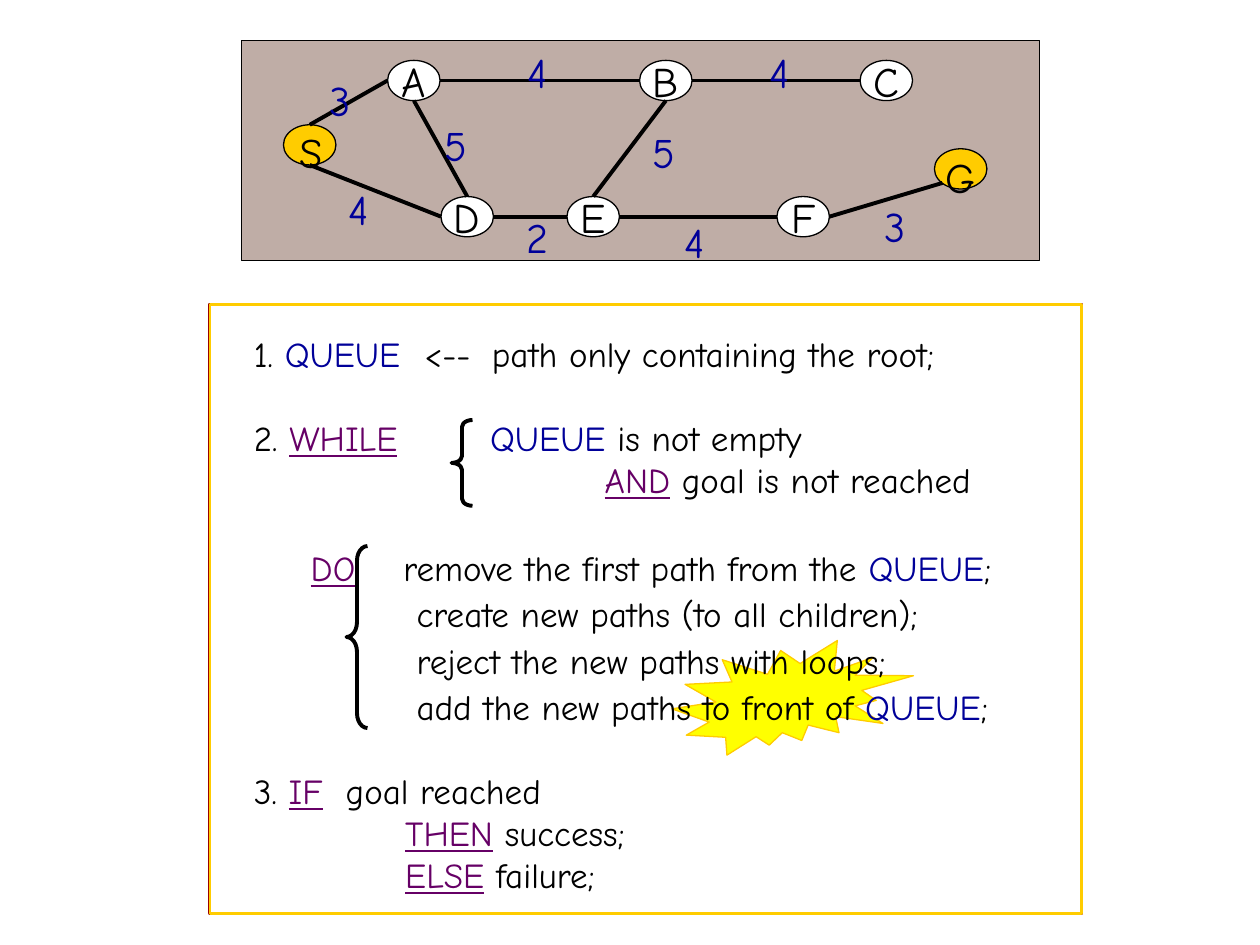
from lxml import etree
from pptx import Presentation
from pptx.dml.color import RGBColor
from pptx.enum import shapes, text
from pptx.oxml import ns
from pptx.util import Pt

BLACK = RGBColor(0x00, 0x00, 0x00)
WHITE = RGBColor(0xFF, 0xFF, 0xFF)
TAUPE = RGBColor(0xBF, 0xAD, 0xA6)
GOLD = RGBColor(0xFF, 0xCC, 0x00)
YELLOW = RGBColor(0xFF, 0xFF, 0x00)
RED = RGBColor(0x99, 0x00, 0x00)
BLUE = RGBColor(0x00, 0x00, 0x99)
PURPLE = RGBColor(0x66, 0x00, 0x66)
FONT = "Comic Neue"
PRESET = shapes.MSO_SHAPE

NODE_W, NODE_H = 30, 23
UPPER, LOWER = 11.5, 89.3
NODES = {
    "A": (83.5, UPPER), "D": (114, LOWER), "B": (227.5, UPPER),
    "E": (186, LOWER), "C": (353.5, UPPER), "F": (306, LOWER),
    "G": (396, 62), "S": (24, 48.3),
}
END_LABELS = [("G", 411, 59.8, 32), ("S", 39.6, 46, 27)]
SIDES = {"top": (0.5, 0), "left": (0, 0.5), "bottom": (0.5, 1),
         "right": (1, 0.5), "lower left": (0.15, 0.85)}
EDGES = [
    ("S", "top", "A", "left"), ("S", "bottom", "D", "left"),
    ("A", "right", "B", "left"), ("D", "right", "E", "left"),
    ("B", "right", "C", "left"), ("E", "right", "F", "left"),
    ("F", "right", "G", "lower left"), ("A", "bottom", "D", "top"),
    ("E", "top", "B", "bottom"),
]
WEIGHTS = [
    ("3", 56.5, 15.8), ("4", 67, 78.5), ("4", 169, 0), ("4", 259, 97.2),
    ("5", 122.4, 41.8), ("5", 241, 46), ("4", 307.5, 0),
    ("3", 373.4, 87.8), ("2", 169, 94.3),
]

KEYWORDS = {"QUEUE": BLUE, **dict.fromkeys(
    ("WHILE", "AND", "DO", "IF", "THEN", "ELSE"), PURPLE)}
STEPS = [
    (("1. ", "QUEUE", "\t<--\tpath only containing the root;"), (97.5, 136), 0, 1),
    (("2. ", "WHILE", "\t", "QUEUE", " is not empty"), (135,), 24, 1),
    (("\t", "AND", " goal is not reached"), (200.5,), 0, 1),
    (("\t", "DO", "\tremove the first path from the ", "QUEUE", ";"),
     (32.5, 85.5), 24, 1.1),
    (("\tcreate new paths (to all children);",), (93,), 0, 1.1),
    (("\treject the new paths with loops;",), (93,), 0, 1.1),
    (("\tadd the new paths to front of ", "QUEUE", ";"), (93,), 0, 1.1),
    (("3. ", "IF", "\tgoal reached"), (52.5,), 24, 1),
    (("\t", "THEN", " success;"), (86.5,), 0, 1),
    (("\t", "ELSE", " failure;"), (86.5,), 0, 1),
]


def add_preset(parent, preset, box, fill, line, width):
    """Add a preset shape with the given fill and outline."""
    shape = parent.add_shape(preset, *map(Pt, box))
    shape.shadow.inherit = False
    if fill is None:
        shape.fill.background()
    else:
        shape.fill.solid()
        shape.fill.fore_color.rgb = fill
    shape.line.color.rgb = line
    shape.line.width = Pt(width)
    return shape


def style_run(run, size, color):
    """Set the font, size and colour of a run."""
    run.font.name = FONT
    run.font.size = Pt(size)
    run.font.color.rgb = color


def set_letter(shape, letter, color):
    """Write one centred character that does not wrap."""
    frame = shape.text_frame
    frame.word_wrap = False
    frame.text = letter
    paragraph = frame.paragraphs[0]
    paragraph.alignment = text.PP_ALIGN.CENTER
    style_run(paragraph.runs[0], 24, color)


def add_label(parent, letter, center, top, width, color):
    """Add a character in a text box centred on a point."""
    label = parent.add_textbox(Pt(center - width / 2), Pt(top), Pt(width), Pt(36))
    set_letter(label, letter, color)


def add_edge(parent, start, end):
    """Add a black line between two points."""
    edge = parent.add_connector(
        shapes.MSO_CONNECTOR.STRAIGHT, *map(Pt, (*start, *end)))
    edge.line.color.rgb = BLACK
    edge.line.width = Pt(2.25)
    etree.SubElement(edge._element.spPr, ns.qn("a:effectLst"))


def draw_graph(slide, left, top, width, height):
    """Draw the weighted search graph on its panel."""
    parts = slide.shapes.add_group_shape().shapes
    add_preset(parts, PRESET.RECTANGLE, (left, top, width, height), TAUPE, BLACK, 0.75)

    def anchor(name, side):
        """Return the point on a side of a node."""
        x, y = NODES[name]
        across, down = SIDES[side]
        return left + x + across * NODE_W, top + y + down * NODE_H

    for name, (x, y) in NODES.items():
        is_end = name in "SG"
        node = add_preset(parts, PRESET.OVAL, (left + x, top + y, NODE_W, NODE_H),
                          GOLD if is_end else WHITE, BLACK, 0.75)
        if not is_end:
            set_letter(node, name, BLACK)
    for name, x, y, label_width in END_LABELS:
        add_label(parts, name, left + x, top + y, label_width, BLACK)
    for origin, origin_side, target, target_side in EDGES:
        add_edge(parts, anchor(origin, origin_side), anchor(target, target_side))
    for weight, x, y in WEIGHTS:
        add_label(parts, weight, left + x, top + y, 27, BLUE)


def write_step(paragraph, pieces, stops, before, spacing):
    """Write one line of the algorithm with its tab stops and keywords."""
    tabs = etree.SubElement(paragraph._p.get_or_add_pPr(), ns.qn("a:tabLst"))
    for stop in stops:
        etree.SubElement(tabs, ns.qn("a:tab"), pos=str(Pt(stop)), algn="l")
    paragraph.line_spacing = float(spacing)
    paragraph.space_before = Pt(before)
    for piece in pieces:
        run = paragraph.add_run()
        run.text = piece
        color = KEYWORDS.get(piece, BLACK)
        style_run(run, 20, color)
        if color == PURPLE:
            run.font.underline = True


def draw_algorithm(slide, left, top, width, height):
    """Draw the framed search algorithm with its braces and highlight."""
    parts = slide.shapes
    for color, line_width in ((RED, 2.25), (GOLD, 1.5)):
        add_preset(parts, PRESET.RECTANGLE, (left, top, width, height),
                   WHITE, color, line_width)
    add_preset(parts, PRESET.EXPLOSION2, (left + 264, top + 192, 138, 65.5),
               YELLOW, GOLD, 0.75)
    steps = parts.add_textbox(Pt(left + 18), Pt(top + 12.5), Pt(437), Pt(329))
    frame = steps.text_frame
    frame.word_wrap = True
    frame.margin_right = 0
    for index, step in enumerate(STEPS):
        paragraph = frame.add_paragraph() if index else frame.paragraphs[0]
        write_step(paragraph, *step)
    for x, y, brace_height, curve in ((138, 66, 49, 0.33), (78, 138, 104, 0.7)):
        brace = add_preset(parts, PRESET.LEFT_BRACE,
                           (left + x, top + y, 12, brace_height), None, BLACK, 2.25)
        brace.adjustments[0] = curve


def main():
    """Build the slide and save it."""
    deck = Presentation()
    deck.slide_width, deck.slide_height = Pt(720), Pt(540)
    slide = deck.slides.add_slide(deck.slide_layouts[6])
    draw_graph(slide, 138, 23, 456, 126)
    draw_algorithm(slide, 120, 174, 498, 348)
    deck.save("out.pptx")


if __name__ == "__main__":
    main()
